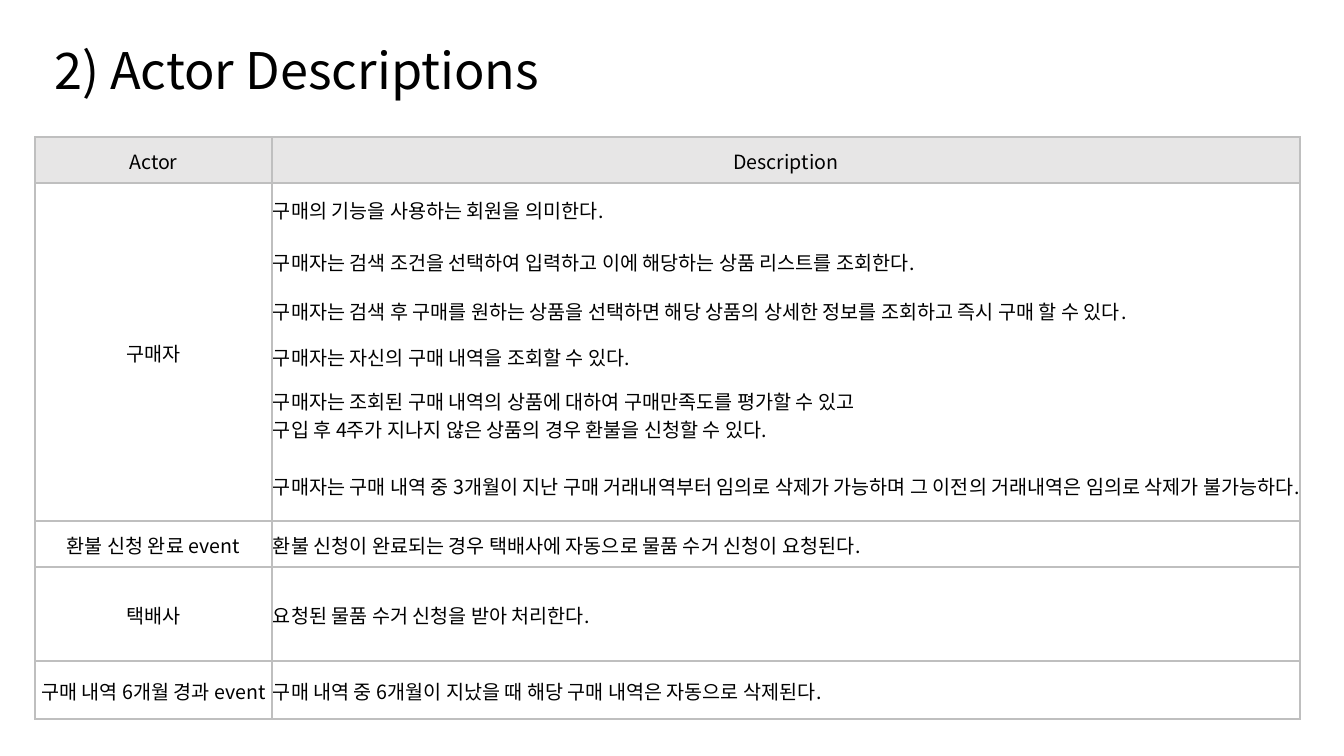
from lxml import etree
from pptx import Presentation
from pptx.dml.color import RGBColor
from pptx.enum import text
from pptx.oxml import ns
from pptx.util import Pt

PX = 914400 / 100.8
FONT = "Noto Sans CJK KR"
COLOR = {"ink": "000000", "head": "E7E6E6", "line": "BFBFBF"}


def px(n):
    return round(n * PX)


def style(frame, size, align):
    frame.vertical_anchor = text.MSO_ANCHOR.MIDDLE
    for para in frame.paragraphs:
        para.alignment = align
        for run in para.runs:
            run.font.size = Pt(size)
            run.font.name = FONT
            run.font.color.rgb = RGBColor.from_string(COLOR["ink"])
            east = etree.SubElement(run.font._element, ns.qn("a:ea"))
            east.set("typeface", FONT)


deck = Presentation()
deck.slide_width, deck.slide_height = px(1344), px(756)
slide = deck.slides.add_slide(deck.slide_layouts[5])

title = slide.shapes.title
title.left, title.top, title.width, title.height = px(44), 0, px(1159), px(146)
title.text_frame.text = "2) Actor Descriptions"
title.text_frame.paragraphs[0].line_spacing = 0.9
style(title.text_frame, 36, text.PP_ALIGN.LEFT)

rows = [
    ("Actor", "Description", 46),
    ("구매자", "구매의 기능을 사용하는 회원을 의미한다.", 52),
    ("", "구매자는 검색 조건을 선택하여 입력하고 이에 해당하는 상품 리스트를 조회한다.", 52),
    ("", "구매자는 검색 후 구매를 원하는 상품을 선택하면 해당 상품의 상세한 정보를 조회하고 즉시 구매 할 수 있다.", 46),
    ("", "구매자는 자신의 구매 내역을 조회할 수 있다.", 46),
    ("", "구매자는 조회된 구매 내역의 상품에 대하여 구매만족도를 평가할 수 있고\n"
         "구입 후 4주가 지나지 않은 상품의 경우 환불을 신청할 수 있다.", 71),
    ("", "구매자는 구매 내역 중 3개월이 지난 구매 거래내역부터 임의로 삭제가 가능하며 "
         "그 이전의 거래내역은 임의로 삭제가 불가능하다.", 71),
    ("환불 신청 완료 event", "환불 신청이 완료되는 경우 택배사에 자동으로 물품 수거 신청이 요청된다.", 46),
    ("택배사", "요청된 물품 수거 신청을 받아 처리한다.", 94),
    ("구매 내역 6개월 경과 event", "구매 내역 중 6개월이 지났을 때 해당 구매 내역은 자동으로 삭제된다.", 46),
]
first, last = 1, 6
widths = (237, 1028)
tall = sum(row[2] for row in rows)
table = slide.shapes.add_table(
    len(rows), 2, px(35), px(137), px(sum(widths)), px(tall)).table
table.first_row = table.horz_banding = False
for col, width in zip(table.columns, widths):
    col.width = px(width)
table.cell(first, 0).merge(table.cell(last, 0))

for r, (actor, about, height) in enumerate(rows):
    table.rows[r].height = px(height)
    for c, words in enumerate((actor, about)):
        cell = table.cell(r, c)
        cell.text_frame.text = words
        cell.margin_left = cell.margin_right = cell.margin_top = px(1)
        cell.margin_bottom = 0
        mid = c == 0 or r == 0
        style(cell.text_frame, 14, text.PP_ALIGN.CENTER if mid else text.PP_ALIGN.LEFT)
        cell.vertical_anchor = text.MSO_ANCHOR.MIDDLE
        if r == 0:
            cell.fill.solid()
            cell.fill.fore_color.rgb = RGBColor.from_string(COLOR["head"])
        else:
            cell.fill.background()
        whole = c == 0 and r == first
        drawn = {
            "L": True,
            "R": True,
            "T": whole or not first < r <= last,
            "B": whole or not first <= r < last,
        }
        props = cell._tc.get_or_add_tcPr()
        for spot, (side, shown) in enumerate(drawn.items()):
            line = etree.Element(ns.qn("a:ln" + side), w=str(Pt(1)))
            if shown:
                fill = etree.SubElement(line, ns.qn("a:solidFill"))
                etree.SubElement(fill, ns.qn("a:srgbClr"), val=COLOR["line"])
            else:
                etree.SubElement(line, ns.qn("a:noFill"))
            props.insert(spot, line)

deck.save("out.pptx")
